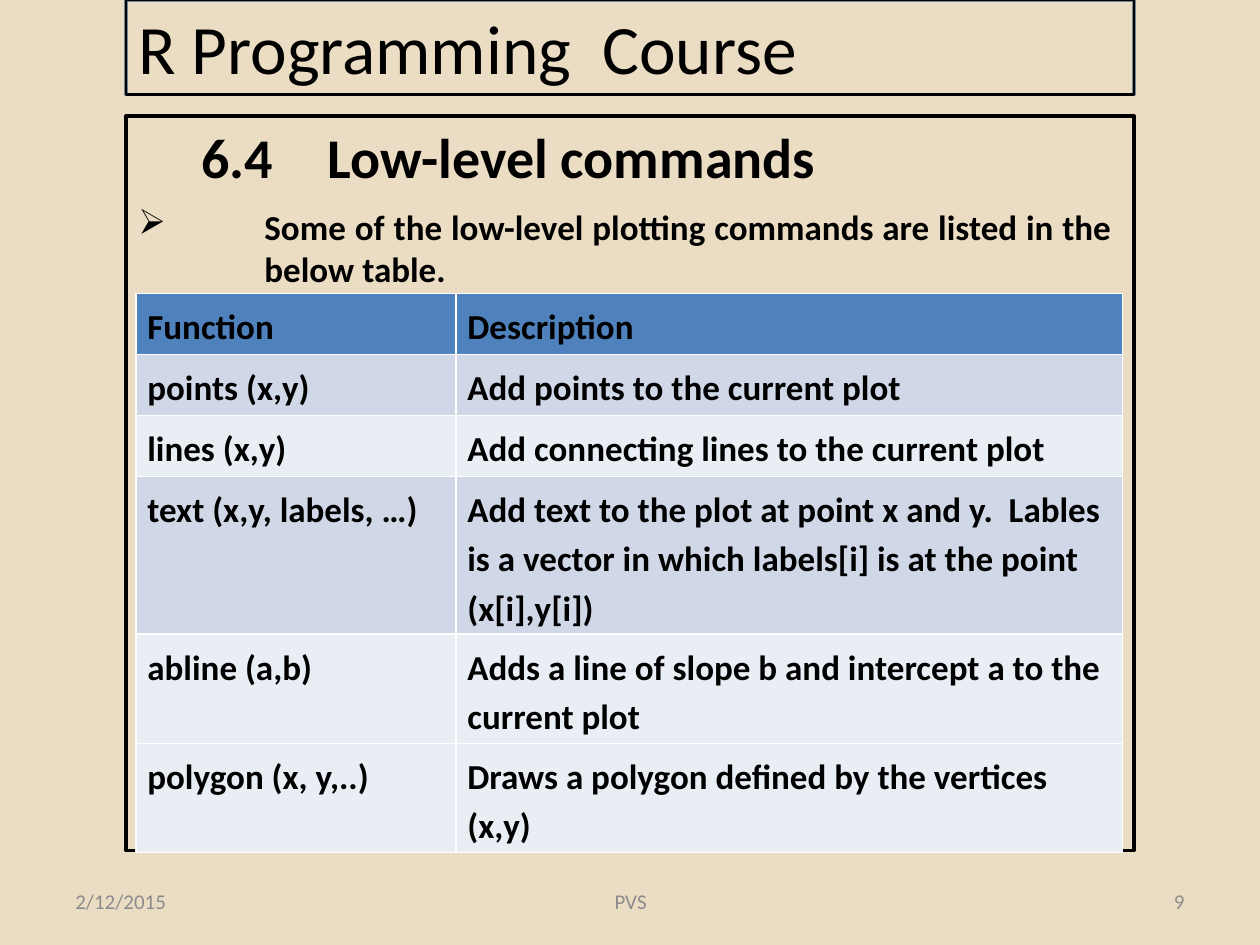
import pptx
import pptx.util
import pptx.dml.color
import pptx.enum.shapes
import pptx.enum.text
import pptx.oxml.ns
from lxml import etree

Inches, Pt = pptx.util.Inches, pptx.util.Pt
RGBColor = pptx.dml.color.RGBColor
ALIGN = pptx.enum.text.PP_ALIGN
ANCHOR = pptx.enum.text.MSO_ANCHOR
RECTANGLE = pptx.enum.shapes.MSO_SHAPE.RECTANGLE

BLACK = RGBColor(0x00, 0x00, 0x00)
SAND = RGBColor(0xEB, 0xDD, 0xC3)
SLATE = RGBColor(0x6D, 0x87, 0x9B)
GREY = RGBColor(0x8C, 0x8C, 0x8C)
HEADER_BLUE = RGBColor(0x4F, 0x81, 0xBD)
BAND_DARK = RGBColor(0xD0, 0xD8, 0xE8)
BAND_LIGHT = RGBColor(0xE9, 0xED, 0xF4)

# Content
TITLE = "R Programming  Course"
HEADING = "6.4\tLow-level commands"
BULLET = "Some of the low-level plotting commands are listed in the below table."
# function, description, row height, fill
ROWS = [
    ("Function", "Description", 0.39, HEADER_BLUE),
    ("points (x,y)", "Add points to the current plot", 0.39, BAND_DARK),
    ("lines (x,y)", "Add connecting lines to the current plot", 0.34, BAND_LIGHT),
    ("text (x,y, labels, …)",
     "Add text to the plot at point x and y.  Lables is a vector in which "
     "labels[i] is at the point (x[i],y[i])", 0.5, BAND_DARK),
    ("abline (a,b)", "Adds a line of slope b and intercept a to the current plot",
     0.41, BAND_LIGHT),
    ("polygon (x, y,..)", "Draws a polygon defined by the vertices (x,y)",
     0.41, BAND_LIGHT),
]
COLUMN_WIDTHS = (2.54, 5.29)
# text, left, width, alignment
FOOTERS = [
    ("2/12/2015", 0.5, 2.33, ALIGN.LEFT),
    ("PVS", 3.42, 3.17, ALIGN.CENTER),
    ("9", 7.17, 2.33, ALIGN.RIGHT),
]

# Geometry and formats
TITLE_BOX = (1, 0, 8, 0.75)
BODY_BOX = (1, 0.92, 8, 5.83)
HEADING_BOX = (1, 0.92, 7.92, 0.64)
BULLET_BOX = (1, 1.58, 7.92, 0.77)
TABLE_BOX = (1.08, 2.33, 7.83, 2.44)
FOOTER_TOP, FOOTER_HEIGHT = 6.95, 0.4

TITLE_FONT = {"name": "Calibri", "size": Pt(39.6), "bold": False}
HEADING_FONT = {"name": "Calibri", "size": Pt(32), "bold": True}
BODY_FONT = {"name": "Calibri", "size": Pt(20), "bold": True}
FOOTER_FONT = {"name": "Calibri", "size": Pt(12)}
HEADER_SPACING = {"line_spacing": 1.15, "space_after": Pt(10)}
ROW_SPACING = {"line_spacing": 1.15, "space_before": Pt(6), "space_after": Pt(6)}
CELL_FORMAT = {"margin_left": Inches(0.09), "margin_right": Inches(0.09),
               "margin_top": Inches(0.05), "margin_bottom": Inches(0.05)}


def apply(target, values):
    for name, value in values.items():
        setattr(target, name, value)


def inches(box):
    return [Inches(length) for length in box]


def write(text_frame, text, font, color=BLACK, **paragraph_format):
    paragraph = text_frame.paragraphs[0]
    run = paragraph.add_run()
    run.text = text
    apply(run.font, font)
    run.font.color.rgb = color
    apply(paragraph, paragraph_format)
    return paragraph


def add_frame(slide, box, color, width):
    shape = slide.shapes.add_shape(RECTANGLE, *inches(box))
    shape.shadow.inherit = False
    shape.fill.background()
    shape.line.color.rgb = color
    shape.line.width = Pt(width)


def add_text(slide, box, text, font, color=BLACK, anchor=ANCHOR.TOP, **paragraph_format):
    text_frame = slide.shapes.add_textbox(*inches(box)).text_frame
    apply(text_frame, {"word_wrap": True, "vertical_anchor": anchor})
    return write(text_frame, text, font, color, **paragraph_format)


def set_indent(paragraph, left, first):
    properties = paragraph._p.get_or_add_pPr()
    properties.set("marL", str(Inches(left)))
    properties.set("indent", str(Inches(first)))
    return properties


def main():
    presentation = pptx.Presentation()
    presentation.slide_width, presentation.slide_height = Inches(10), Inches(7.5)
    slide = presentation.slides.add_slide(presentation.slide_layouts[5])
    slide.background.fill.solid()
    slide.background.fill.fore_color.rgb = SAND

    # Frames and footer
    add_frame(slide, BODY_BOX, BLACK, 2)
    for text, left, width, alignment in FOOTERS:
        add_text(slide, (left, FOOTER_TOP, width, FOOTER_HEIGHT), text, FOOTER_FONT,
                 GREY, ANCHOR.MIDDLE, alignment=alignment)
    add_frame(slide, TITLE_BOX, SLATE, 2)

    # Title, moved in front of its frame
    title = slide.shapes.title
    apply(title, dict(zip(("left", "top", "width", "height"), inches(TITLE_BOX))))
    title.line.color.rgb = BLACK
    title.line.width = Pt(1.5)
    apply(title.text_frame, {"vertical_anchor": ANCHOR.MIDDLE, "word_wrap": True,
                             "auto_size": pptx.enum.text.MSO_AUTO_SIZE.NONE})
    write(title.text_frame, TITLE, TITLE_FONT, alignment=ALIGN.LEFT)
    slide.shapes._spTree.append(title._element)

    # Section heading
    heading = add_text(slide, HEADING_BOX, HEADING, HEADING_FONT, level=1)
    set_indent(heading, 0.5, 0)

    # Bullet with a hanging indent
    bullet = add_text(slide, BULLET_BOX, BULLET, BODY_FONT, anchor=ANCHOR.MIDDLE,
                      alignment=ALIGN.JUSTIFY)
    properties = set_indent(bullet, 1, -1)
    qn = pptx.oxml.ns.qn
    etree.SubElement(properties, qn("a:buChar"), char="➢")
    tabs = etree.SubElement(properties, qn("a:tabLst"))
    etree.SubElement(tabs, qn("a:tab"), pos=str(Inches(0.5)), algn="l")

    # Command table
    table = slide.shapes.add_table(len(ROWS), len(COLUMN_WIDTHS), *inches(TABLE_BOX)).table
    for column, width in zip(table.columns, COLUMN_WIDTHS):
        column.width = Inches(width)
    for index, (function, description, height, fill) in enumerate(ROWS):
        table.rows[index].height = Inches(height)
        spacing = ROW_SPACING if index else HEADER_SPACING
        for cell, text in zip(table.rows[index].cells, (function, description)):
            apply(cell, CELL_FORMAT)
            cell.fill.solid()
            cell.fill.fore_color.rgb = fill
            write(cell.text_frame, text, BODY_FONT, **spacing)

    presentation.save("out.pptx")


if __name__ == "__main__":
    main()
